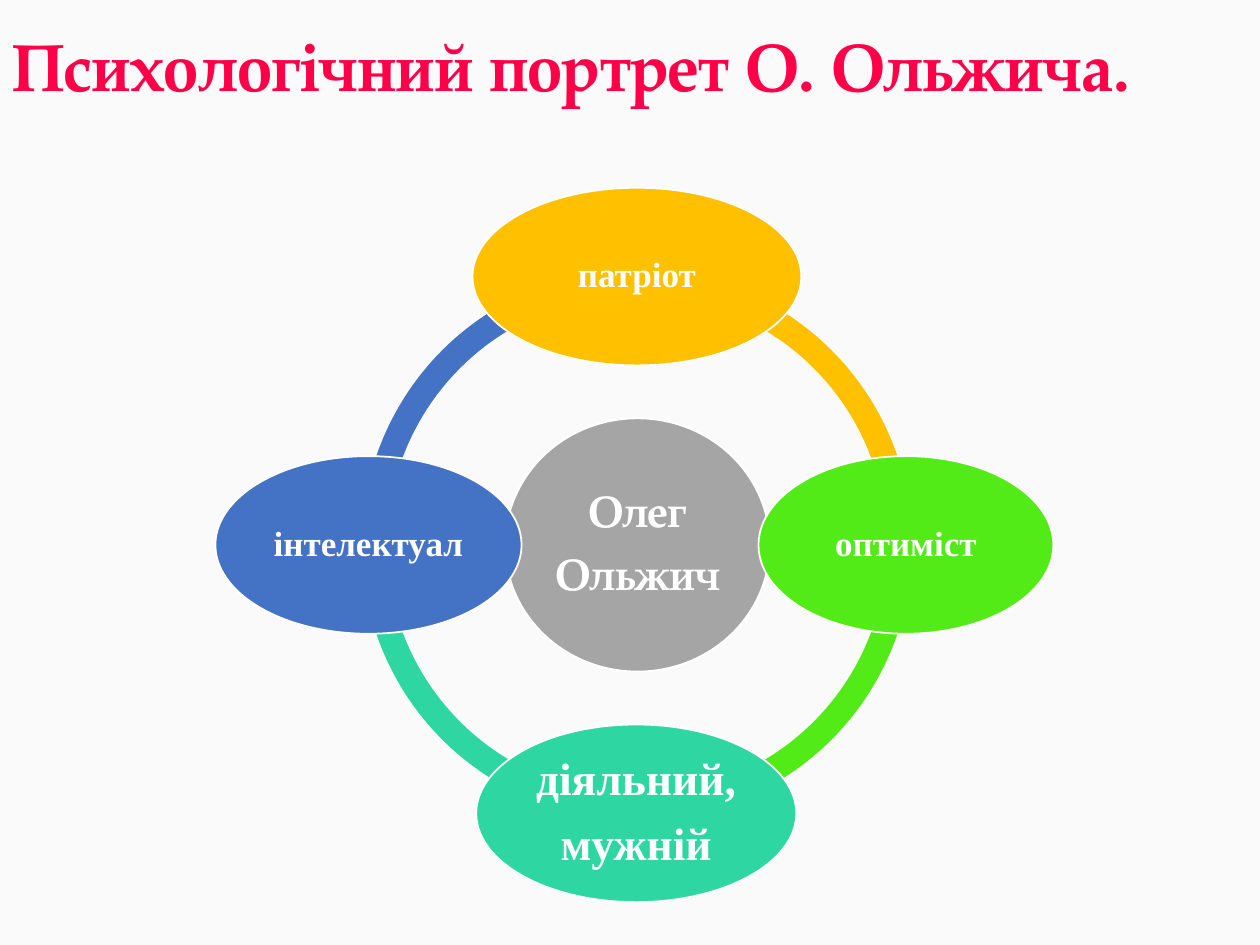
from dataclasses import dataclass

from pptx import Presentation
from pptx.dml.color import RGBColor
from pptx.enum.shapes import MSO_SHAPE as Shape
from pptx.enum.text import MSO_ANCHOR as Anchor, PP_ALIGN as Align
from pptx.util import Emu, Pt

PX = 9144
SERIF = "Times New Roman"
PAGELLA = "TeX Gyre Pagella"
WHITE = "FFFFFF"
BLUE, TEAL, GREEN, AMBER, GRAY = "4472C4", "2ED7A1", "53EB17", "FFC000", "A5A5A5"
RING_LEFT, RING_TOP, RING_SIZE = 287, 214, 437


@dataclass(frozen=True)
class Arc:
    """A quarter of the ring, starting at an angle in degrees."""
    start: int
    color: str


@dataclass(frozen=True)
class Trait:
    """An oval with its lines of text."""
    left: int
    top: int
    width: int
    height: int
    color: str
    lines: tuple[str, ...]
    size: int = 20
    font: str = SERIF
    inset: int = 3


ARCS = (Arc(180, BLUE), Arc(90, TEAL), Arc(0, GREEN), Arc(270, AMBER))
TRAITS = (
    Trait(401, 332, 210, 201, GRAY, ("Олег", "Ольжич"), 25, PAGELLA),
    Trait(375, 149, 261, 141, AMBER, ("патріот",)),
    Trait(602, 362, 234, 141, GREEN, ("оптиміст",)),
    Trait(378, 575, 254, 141, TEAL, ("діяльний,", "мужній"), 26, inset=4),
    Trait(171, 362, 243, 141, BLUE, ("інтелектуал",)),
)


def px(n: int) -> Emu:
    """Turn px into EMU."""
    return Emu(n * PX)


def paint(fill, color: str) -> None:
    """Give a fill one solid colour."""
    fill.solid()
    fill.fore_color.rgb = RGBColor.from_string(color)


def add_run(p, text: str, font: str, size: int, color: str) -> None:
    """Add a bold run to a paragraph."""
    r = p.add_run()
    r.text = text
    r.font.name, r.font.size, r.font.bold = font, Pt(size), True
    r.font.color.rgb = RGBColor.from_string(color)


def add_filled(shapes, kind: Shape, box: tuple[int, ...], color: str):
    """Add a flat filled shape."""
    sp = shapes.add_shape(kind, *map(px, box))
    sp.shadow.inherit = False
    paint(sp.fill, color)
    return sp


def add_arc(shapes, arc: Arc) -> None:
    """Draw a quarter of the ring."""
    box = (RING_LEFT, RING_TOP, RING_SIZE, RING_SIZE)
    sp = add_filled(shapes, Shape.BLOCK_ARC, box, arc.color)
    sp.line.fill.background()
    end = (arc.start + 90) % 360
    for i, value in enumerate((arc.start * 0.6, end * 0.6, 0.046)):
        sp.adjustments[i] = value


def add_trait(shapes, trait: Trait) -> None:
    """Draw an oval and write its text."""
    box = (trait.left, trait.top, trait.width, trait.height)
    sp = add_filled(shapes, Shape.OVAL, box, trait.color)
    paint(sp.line.fill, WHITE)
    sp.line.width = Pt(1)
    tf = sp.text_frame
    tf.word_wrap, tf.vertical_anchor = True, Anchor.MIDDLE
    tf.margin_left = tf.margin_right = px(trait.inset)
    tf.margin_top = tf.margin_bottom = px(trait.inset)
    for i, line in enumerate(trait.lines):
        p = tf.add_paragraph() if i else tf.paragraphs[0]
        p.alignment, p.line_spacing = Align.CENTER, 0.9
        p.space_after = Pt(trait.size * 0.35)
        add_run(p, line, trait.font, trait.size, WHITE)


def add_title(s, text: str) -> None:
    """Place and write the slide title."""
    sp = s.shapes.title
    sp.left, sp.top, sp.width, sp.height = map(px, (0, 0, 1000, 111))
    tf = sp.text_frame
    tf.word_wrap, tf.vertical_anchor = True, Anchor.MIDDLE
    p = tf.paragraphs[0]
    p.alignment, p.line_spacing = Align.LEFT, 0.9
    add_run(p, text, PAGELLA, 38, "FF0048")


def main() -> None:
    """Build the slide and save it."""
    prs = Presentation()
    prs.slide_width, prs.slide_height = px(1000), px(750)
    s = prs.slides.add_slide(prs.slide_layouts[5])
    paint(s.background.fill, "FAFAFA")
    add_title(s, "Психологічний портрет О. Ольжича.")
    diagram = s.shapes.add_group_shape()
    for arc in ARCS:
        add_arc(diagram.shapes, arc)
    for trait in TRAITS:
        add_trait(diagram.shapes, trait)
    prs.save("out.pptx")


if __name__ == "__main__":
    main()
